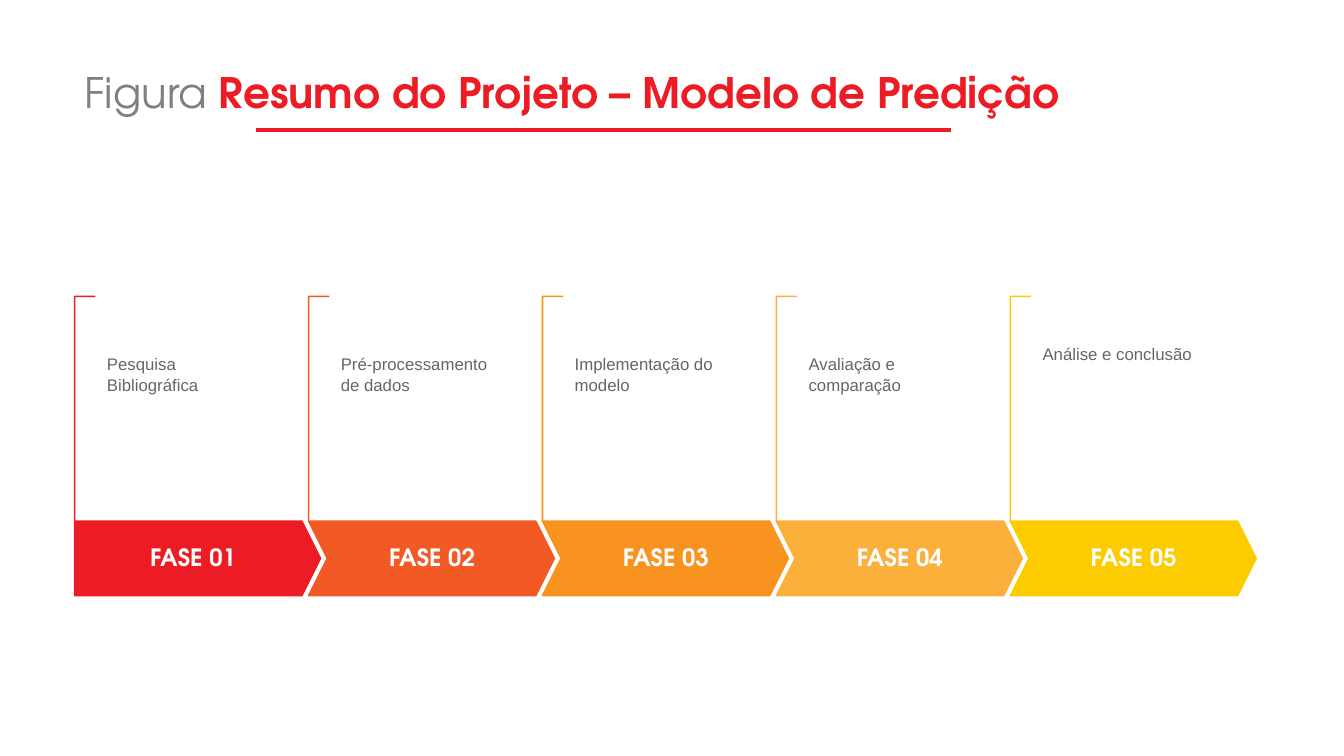
from dataclasses import dataclass

import pptx
import pptx.dml.color
import pptx.enum.shapes
import pptx.enum.text
import pptx.oxml.ns
import pptx.util
from lxml import etree

Shape = pptx.enum.shapes.MSO_SHAPE
Align = pptx.enum.text.PP_ALIGN
Anchor = pptx.enum.text.MSO_ANCHOR
Pt = pptx.util.Pt


@dataclass(frozen=True)
class Theme:
    heading_font: str = "TeX Gyre Adventor"
    body_font: str = "Arial"
    red: str = "ED1C24"
    grey: str = "808080"
    body: str = "666666"
    white: str = "FFFFFF"
    title_size: int = 30
    label_size: int = 17
    body_size: int = 12


@dataclass(frozen=True)
class Box:
    x: int
    y: int
    w: int
    h: int


@dataclass(frozen=True)
class Run:
    text: str
    size: int
    font: str
    color: str
    bold: bool = False


@dataclass(frozen=True)
class Phase:
    text: str
    color: str


THEME = Theme()
PHASES = [
    Phase("Pesquisa Bibliográfica", THEME.red),
    Phase("Pré-processamento de dados", "F15A24"),
    Phase("Implementação do modelo", "F7931E"),
    Phase("Avaliação e comparação", "FBB03B"),
    Phase("Análise e conclusão", "FCCB00"),
]
FIRST_X, PITCH = 74, 232
ARROW_Y, ARROW_W, ARROW_H = 517, 244, 74
BRACKET_W, BRACKET_H = 20, 223


def px(n: int) -> int:
    """Convert px, 100 to the inch, to EMU."""
    return n * 9144


def place(box: Box) -> list[int]:
    return [px(n) for n in (box.x, box.y, box.w, box.h)]


def rgb(color: str) -> pptx.dml.color.RGBColor:
    return pptx.dml.color.RGBColor.from_string(color)


def add_text(s, box: Box, runs: list[Run], insets: tuple[int, int, int, int],
             anchor=Anchor.TOP, align=Align.LEFT, spacing=0.9) -> None:
    """Add a one-paragraph text box; insets run left, top, right, bottom."""
    tf = s.shapes.add_textbox(*place(box)).text_frame
    left, top, right, bottom = map(px, insets)
    frame = dict(word_wrap=True, vertical_anchor=anchor, margin_left=left,
                 margin_top=top, margin_right=right, margin_bottom=bottom)
    for name, value in frame.items():
        setattr(tf, name, value)
    p = tf.paragraphs[0]
    p.alignment, p.line_spacing = align, spacing
    for run in runs:
        r = p.add_run()
        r.text = run.text
        for name, value in dict(size=Pt(run.size), name=run.font, bold=run.bold).items():
            setattr(r.font, name, value)
        r.font.color.rgb = rgb(run.color)


def add_figure(s, kind, box: Box, adjustments: list[float], fill: str, line: str) -> None:
    sp = s.shapes.add_shape(kind, *place(box))
    sp.shadow.inherit = False
    for i, value in enumerate(adjustments):
        sp.adjustments[i] = value
    sp.fill.solid()
    sp.fill.fore_color.rgb = rgb(fill)
    sp.line.color.rgb = rgb(line)
    sp.line.width = Pt(1)


def add_title(s) -> None:
    line = s.shapes.add_connector(pptx.enum.shapes.MSO_CONNECTOR.STRAIGHT,
                                  px(254), px(129), px(943), px(129))
    line.line.color.rgb = rgb(THEME.red)
    line.line.width = Pt(3)
    etree.SubElement(line._element.spPr, pptx.oxml.ns.qn("a:effectLst"))
    size, font = THEME.title_size, THEME.heading_font
    runs = [Run("Figura", size, font, THEME.grey),
            Run(" Resumo do Projeto – Modelo de Predição", size, font, THEME.red, True)]
    add_text(s, Box(74, 22, 1171, 145), runs, (10, 5, 10, 5), Anchor.MIDDLE)


def add_phase(s, i: int, phase: Phase) -> None:
    """Draw a bracket, an arrow, its label and the description above it."""
    x, first = FIRST_X + i * PITCH, i == 0
    add_figure(s, Shape.HALF_FRAME, Box(x, ARROW_Y - BRACKET_H, BRACKET_W, BRACKET_H),
               [0.01, 0.01], THEME.white, phase.color)
    add_figure(s, Shape.PENTAGON if first else Shape.CHEVRON,
               Box(x, ARROW_Y, ARROW_W, ARROW_H), [0.25], phase.color, phase.color)
    label = Box(x, ARROW_Y, 235, ARROW_H) if first else Box(x + 19, ARROW_Y, 207, ARROW_H)
    add_text(s, label, [Run(f"FASE {i + 1:02}", THEME.label_size, THEME.heading_font,
                            THEME.white, True)],
             (12, 24, 12, 24), Anchor.MIDDLE, Align.CENTER)
    add_text(s, Box(x + 20, 306, 198, 155),
             [Run(phase.text, THEME.body_size, THEME.body_font, THEME.body)],
             (12, 47, 31, 0), spacing=Pt(15))


def main() -> None:
    prs = pptx.Presentation()
    prs.slide_width, prs.slide_height = px(1333), px(750)
    s = prs.slides.add_slide(prs.slide_layouts[6])
    add_title(s)
    for i, phase in enumerate(PHASES):
        add_phase(s, i, phase)
    prs.save("out.pptx")


if __name__ == "__main__":
    main()
